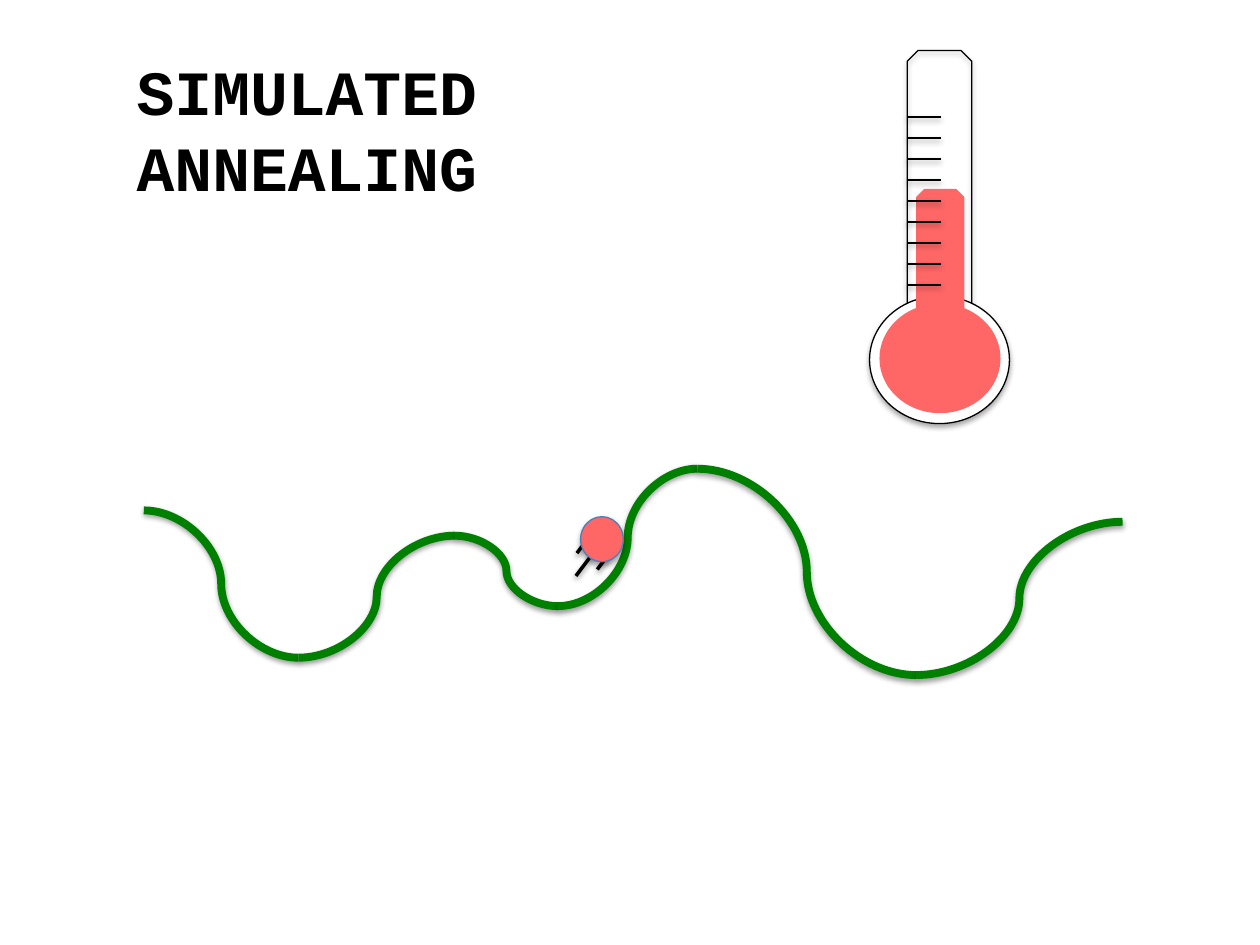
from itertools import pairwise

from lxml.etree import SubElement
from pptx import Presentation
from pptx.dml.color import RGBColor
from pptx.enum.shapes import MSO_CONNECTOR, MSO_SHAPE
from pptx.enum.text import MSO_ANCHOR, PP_ALIGN
from pptx.oxml.ns import qn
from pptx.util import Cm, Pt

BLACK = RGBColor(0x00, 0x00, 0x00)
WHITE = RGBColor(0xFF, 0xFF, 0xFF)
GREEN = RGBColor(0x00, 0x80, 0x00)
RED = RGBColor(0xFF, 0x66, 0x66)
BLUE = RGBColor(0x4B, 0x7E, 0xBC)


def format_text(frame, text, font="Courier New", size=36, color=BLACK,
                bold=False, align=PP_ALIGN.CENTER):
    para = frame.paragraphs[0]
    para.alignment = align
    span = para.add_run()
    span.text = text
    span.font.name = font
    span.font.size = Pt(size)
    span.font.bold = bold
    span.font.color.rgb = color


class Page:
    """The current slide and the style of its elements."""

    def __init__(self, deck):
        self.slide = deck.slides.add_slide(deck.slide_layouts[5])

    def shadow(self, item, opacity, distance):
        effects = SubElement(item._element.spPr, qn("a:effectLst"))
        outer = SubElement(effects, qn("a:outerShdw"), blurRad=str(Pt(3.15)),
                           dist=str(Pt(distance)), dir="5400000",
                           rotWithShape="0")
        color = SubElement(outer, qn("a:srgbClr"), val="000000")
        SubElement(color, qn("a:alpha"), val=str(opacity * 1000))

    def title(self, text, left, top, width, height):
        box = self.slide.shapes.title
        box.left, box.top = Cm(left), Cm(top)
        box.width, box.height = Cm(width), Cm(height)
        frame = box.text_frame
        frame.word_wrap = True
        frame.vertical_anchor = MSO_ANCHOR.TOP
        format_text(frame, text, bold=True)

    def line(self, start, end, color=BLACK, width=1,
             kind=MSO_CONNECTOR.STRAIGHT):
        line = self.slide.shapes.add_connector(
            kind, *(Cm(value) for value in (*start, *end)))
        line.line.color.rgb = color
        line.line.width = Pt(width)
        self.shadow(line, opacity=38, distance=1.6)

    def shape(self, kind, left, top, width, height, fill=None, outline=None,
              rotation=0):
        shape = self.slide.shapes.add_shape(
            kind, Cm(left), Cm(top), Cm(width), Cm(height))
        shape.rotation = rotation
        if fill is None:
            shape.fill.background()
        else:
            shape.fill.solid()
            shape.fill.fore_color.rgb = fill
        if outline is None:
            shape.line.fill.background()
            shape.shadow.inherit = False
        else:
            shape.line.color.rgb = outline
            shape.line.width = Pt(0.75)
            self.shadow(shape, opacity=35, distance=1.8)


deck = Presentation()
deck.slide_width, deck.slide_height = Cm(25.4), Cm(19.05)
page = Page(deck)

# Energy landscape: a chain of curves through its peaks and valleys
landscape = [(2.9, 10.29), (6.02, 13.26), (9.17, 10.8), (11.25, 12.22),
             (14.06, 9.45), (18.47, 13.61), (22.63, 10.52)]
for start, end in pairwise(landscape):
    page.line(start, end, GREEN, 4.5, MSO_CONNECTOR.CURVE)

# Ball with motion streaks
for x, y in [(11.61, 11.61), (12.04, 11.48), (11.63, 11.15)]:
    page.line((x, y), (x + 0.37, y - 0.49), width=2)
page.shape(MSO_SHAPE.OVAL, 11.68, 10.44, 0.91, 0.86, RED, BLUE, rotation=270)

page.title("SIMULATED ANNEALING", 0, 0.94, 12.37, 3.33)

# Thermometer: glass, then its filling
tube = MSO_SHAPE.SNIP_2_SAME_RECTANGLE
page.shape(tube, 18.29, 1.02, 1.3, 5.79, outline=BLACK)
page.shape(MSO_SHAPE.OVAL, 17.53, 5.97, 2.82, 2.57, WHITE, BLACK)
page.shape(MSO_SHAPE.OVAL, 17.73, 6.12, 2.44, 2.21, RED)
page.shape(tube, 18.47, 3.81, 0.97, 2.74, RED)

# Scale
TICKS, FIRST, LAST = 9, 2.36, 5.74
for tick in range(TICKS):
    y = FIRST + tick * (LAST - FIRST) / (TICKS - 1)
    page.line((18.29, y), (18.97, y))

deck.save("out.pptx")
